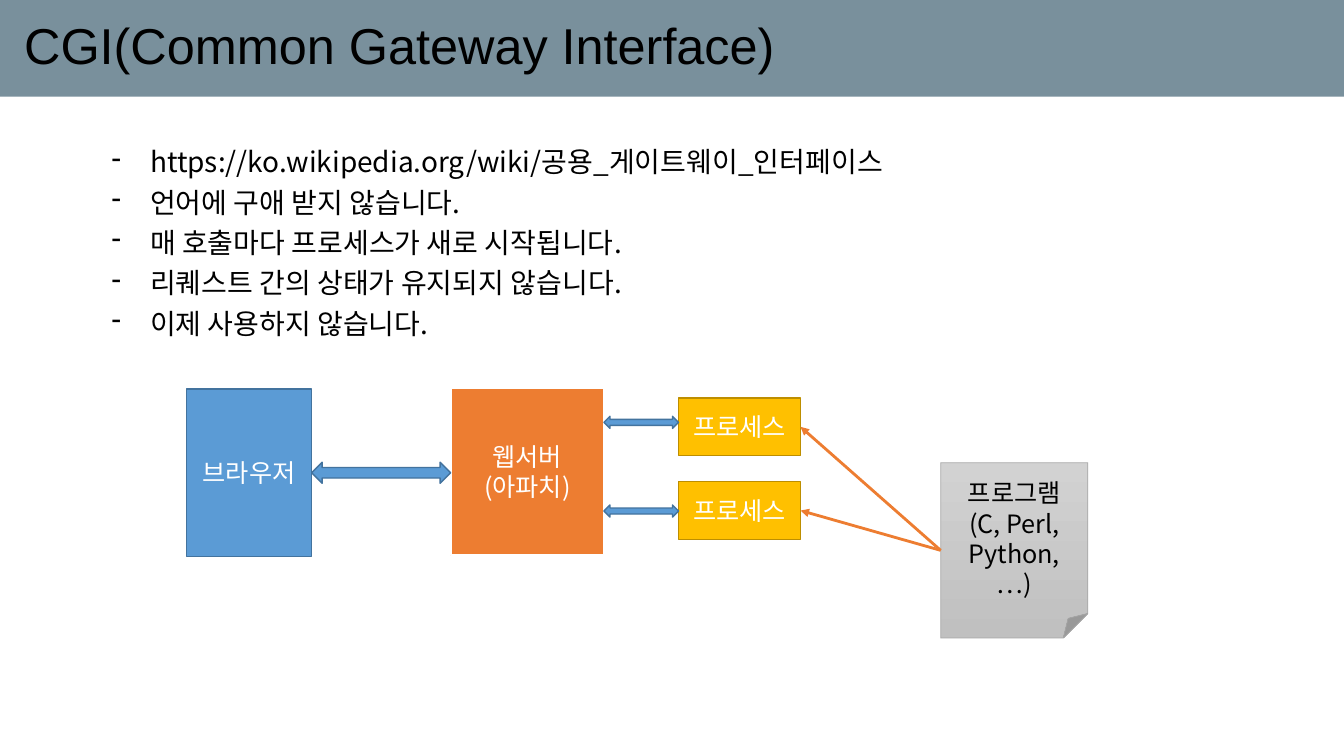
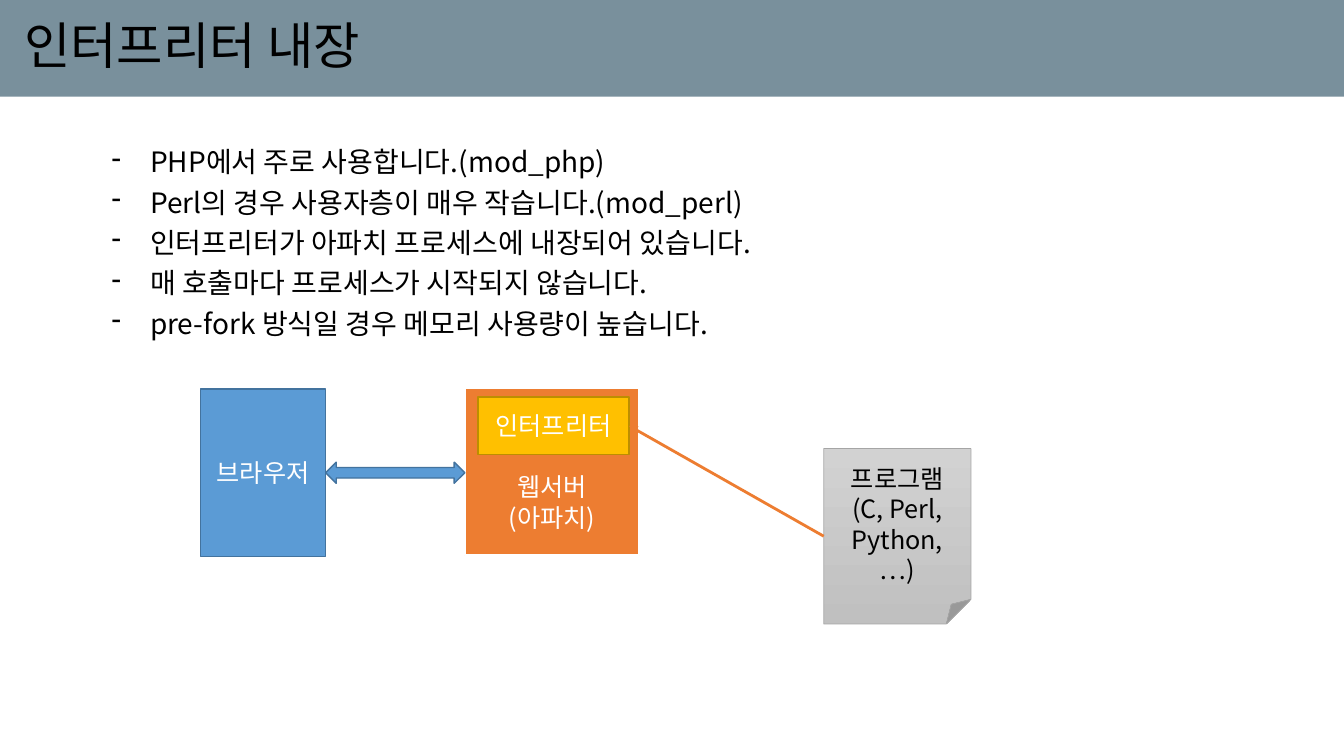
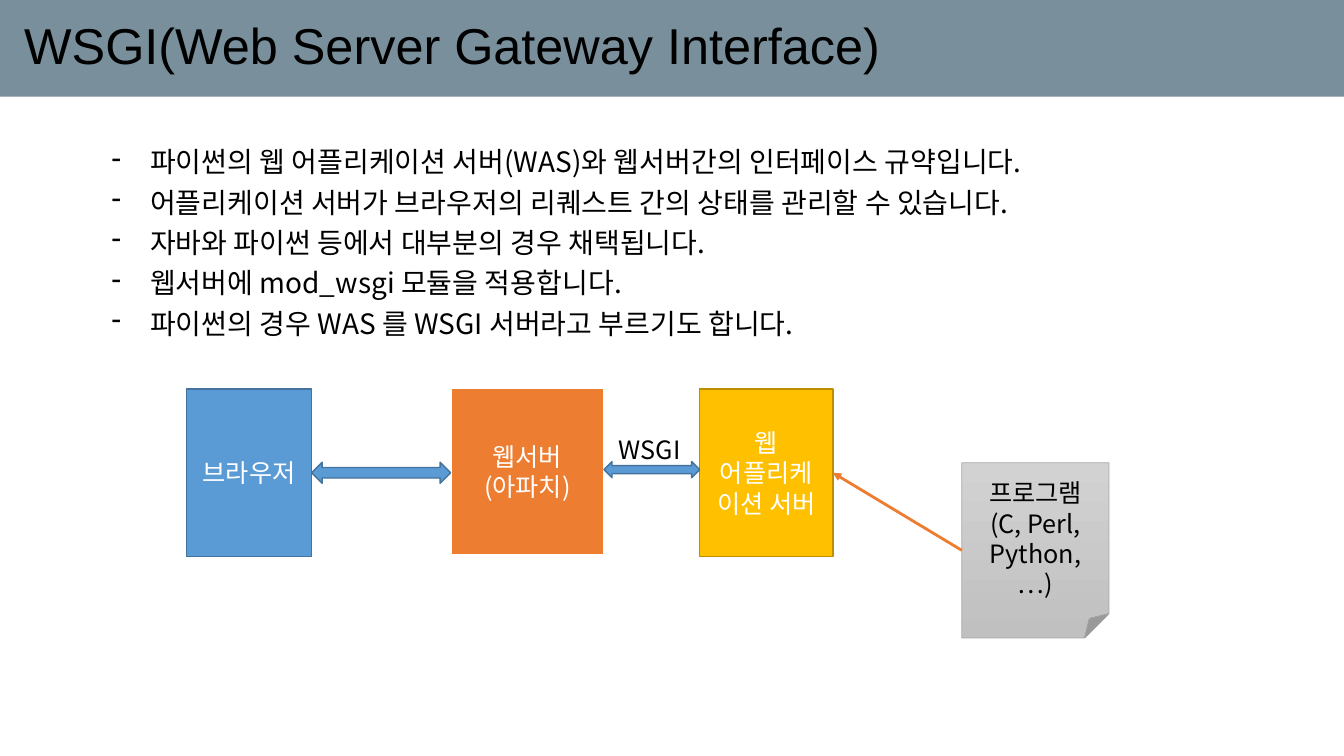
"""Build three slides on how web servers run programs: CGI, embedded interpreter, WSGI."""
from lxml import etree
from pptx import Presentation
from pptx.dml.color import RGBColor
from pptx.enum.shapes import MSO_CONNECTOR, MSO_SHAPE
from pptx.enum.text import MSO_ANCHOR, PP_ALIGN
from pptx.oxml.ns import qn
from pptx.util import Inches, Pt

RECTANGLE = MSO_SHAPE.RECTANGLE
FOLDED = MSO_SHAPE.FOLDED_CORNER
DOUBLE_ARROW = MSO_SHAPE.LEFT_RIGHT_ARROW
STRAIGHT = MSO_CONNECTOR.STRAIGHT
MIDDLE = MSO_ANCHOR.MIDDLE
CENTER = PP_ALIGN.CENTER
LEFT = PP_ALIGN.LEFT

BLACK = RGBColor(0x00, 0x00, 0x00)
WHITE = RGBColor(0xFF, 0xFF, 0xFF)
SLATE = RGBColor(0x79, 0x90, 0x9C)
BLUE = RGBColor(0x5B, 0x9B, 0xD5)
DARK_BLUE = RGBColor(0x43, 0x73, 0x9E)
ORANGE = RGBColor(0xED, 0x7D, 0x31)
GOLD = RGBColor(0xFF, 0xC0, 0x00)
DARK_GOLD = RGBColor(0xBD, 0x8E, 0x00)
LIGHT_GRAY = RGBColor(0xD2, 0xD2, 0xD2)
MID_GRAY = RGBColor(0xC0, 0xC0, 0xC0)
DARK_GRAY = RGBColor(0xA5, 0xA5, 0xA5)

KOREAN_FONT = "Noto Sans CJK KR"
TITLE_FONT = {"name": "Arial", "size": Pt(36), "color": BLACK}
BULLET_FONT = {"name": KOREAN_FONT, "size": Pt(20), "color": BLACK}
LABEL_FONT = {"name": KOREAN_FONT, "size": Pt(18), "color": BLACK}
BOX_FONT = {**LABEL_FONT, "color": WHITE}

STYLES = {
    "blue": {"shape": RECTANGLE, "fills": [BLUE], "line": DARK_BLUE, "weight": 1, "font": BOX_FONT},
    "orange": {"shape": RECTANGLE, "fills": [ORANGE], "line": WHITE, "weight": 1.5, "font": BOX_FONT},
    "gold": {"shape": RECTANGLE, "fills": [GOLD], "line": DARK_GOLD, "weight": 1, "font": BOX_FONT},
    "paper": {"shape": FOLDED, "fills": [LIGHT_GRAY, MID_GRAY], "line": DARK_GRAY,
              "weight": 0.5, "font": LABEL_FONT},
    "arrow": {"shape": DOUBLE_ARROW, "fills": [BLUE], "line": DARK_BLUE, "weight": 1, "font": BOX_FONT},
    "band": {"shape": RECTANGLE, "fills": [SLATE], "line": None, "font": TITLE_FONT},
}

BROWSER = ["브라우저"]
SERVER = ["웹서버", "(아파치)"]
PROCESS = ["프로세스"]
PROGRAM = ["프로그램\n(C, Perl, Python, …)"]
RIGHT_SITE, LEFT_SITE = 3, 1

SLIDES = [
    {
        "title": "CGI(Common Gateway Interface)",
        "bullets": [
            "https://ko.wikipedia.org/wiki/공용_게이트웨이_인터페이스",
            "언어에 구애 받지 않습니다.",
            "매 호출마다 프로세스가 새로 시작됩니다.",
            "리퀘스트 간의 상태가 유지되지 않습니다.",
            "이제 사용하지 않습니다.",
        ],
        "bullet_width": 7.98,
        "boxes": {
            "browser": ("blue", 1.85, 3.86, 1.24, 1.66, BROWSER),
            "server": ("orange", 4.47, 3.85, 1.52, 1.66, SERVER),
            "first process": ("gold", 6.73, 3.95, 1.21, 0.57, PROCESS),
            "second process": ("gold", 6.73, 4.78, 1.21, 0.57, PROCESS),
            "program": ("paper", 9.33, 4.59, 1.46, 1.74, PROGRAM),
        },
        "links": ["second process", "first process"],
        "exchanges": [
            ("server", "first process", 4.19, 0.12),
            ("server", "second process", 5.07, 0.12),
            ("browser", "server", 4.69, 0.21),
        ],
    },
    {
        "title": "인터프리터 내장",
        "bullets": [
            "PHP에서 주로 사용합니다.(mod_php)",
            "Perl의 경우 사용자층이 매우 작습니다.(mod_perl)",
            "인터프리터가 아파치 프로세스에 내장되어 있습니다.",
            "매 호출마다 프로세스가 시작되지 않습니다.",
            "pre-fork 방식일 경우 메모리 사용량이 높습니다.",
        ],
        "bullet_width": 7.98,
        "boxes": {
            "browser": ("blue", 1.99, 3.86, 1.24, 1.66, BROWSER),
            "server": ("orange", 4.61, 3.85, 1.73, 1.66, SERVER),
            "interpreter": ("gold", 4.74, 3.94, 1.5, 0.57, ["인터프리터"]),
            "program": ("paper", 8.17, 4.45, 1.46, 1.74, PROGRAM),
        },
        "top_insets": {"server": 0.65},
        "links": ["interpreter"],
        "exchanges": [("browser", "server", 4.69, 0.21)],
    },
    {
        "title": "WSGI(Web Server Gateway Interface)",
        "bullets": [
            "파이썬의 웹 어플리케이션 서버(WAS)와 웹서버간의 인터페이스 규약입니다.",
            "어플리케이션 서버가 브라우저의 리퀘스트 간의 상태를 관리할 수 있습니다.",
            "자바와 파이썬 등에서 대부분의 경우 채택됩니다.",
            "웹서버에 mod_wsgi 모듈을 적용합니다.",
            "파이썬의 경우 WAS 를 WSGI 서버라고 부르기도 합니다.",
        ],
        "bullet_width": 10.28,
        "boxes": {
            "browser": ("blue", 1.85, 3.86, 1.24, 1.66, BROWSER),
            "server": ("orange", 4.47, 3.85, 1.52, 1.66, SERVER),
            "application": ("gold", 6.94, 3.86, 1.32, 1.66, ["웹 어플리케이션 서버"]),
            "program": ("paper", 9.54, 4.59, 1.46, 1.74, PROGRAM),
        },
        "links": ["application"],
        "exchanges": [
            ("server", "application", 4.66, 0.16),
            ("browser", "server", 4.69, 0.21),
        ],
        "label": ("WSGI", 6.04, 4.26, 0.82, 0.4),
    },
]


def write(frame, lines, font, align=LEFT, spacing=None, bulleted=False):
    """Fill a text frame with one paragraph per line."""
    for index, line in enumerate(lines):
        para = frame.add_paragraph() if index else frame.paragraphs[0]
        para.text = line
        para.alignment = align
        para.line_spacing = spacing
        if bulleted:
            properties = para._p.get_or_add_pPr()
            properties.set("marL", str(Inches(0.38)))
            properties.set("indent", str(-Inches(0.38)))
            etree.SubElement(properties, qn("a:buChar")).set("char", "-")
        for span in para.runs:
            for name in ("name", "size"):
                setattr(span.font, name, font[name])
            span.font.color.rgb = font["color"]
            east_asian = etree.SubElement(span._r.get_or_add_rPr(), qn("a:ea"))
            east_asian.set("typeface", KOREAN_FONT)


def add_box(page, style_name, left, top, width, height, lines=()):
    """Add a styled preset shape with its text, lengths in EMU."""
    style = STYLES[style_name]
    box = page.shapes.add_shape(style["shape"], left, top, width, height)
    box.shadow.inherit = False
    fills = style["fills"]
    if len(fills) == 1:
        box.fill.solid()
        box.fill.fore_color.rgb = fills[0]
    else:
        box.fill.gradient()
        box.fill.gradient_angle = 270
        for stop, color in zip(box.fill.gradient_stops, fills):
            stop.color.rgb = color
        for stop, position in zip(box.fill.gradient_stops, (0, 1)):
            stop.position = position
    if style["line"] is None:
        box.line.fill.background()
    else:
        box.line.color.rgb = style["line"]
        box.line.width = Pt(style["weight"])
    frame = box.text_frame
    frame.word_wrap = True
    frame.vertical_anchor = MIDDLE
    write(frame, lines, style["font"], CENTER)
    return box


def add_title(page, title, width):
    """Add the title band."""
    frame = add_box(page, "band", 0, 0, width, Inches(0.96)).text_frame
    frame.margin_left = Inches(0.24)
    write(frame, [title], TITLE_FONT, spacing=0.9)


def add_link(page, source, target):
    """Connect the left of one box to the right of another with an arrow."""
    link = page.shapes.add_connector(STRAIGHT, 0, 0, 0, 0)
    link.begin_connect(source, LEFT_SITE)
    link.end_connect(target, RIGHT_SITE)
    link.line.color.rgb = ORANGE
    link.line.width = Pt(2)
    etree.SubElement(link.line._get_or_add_ln(), qn("a:tailEnd")).set("type", "triangle")
    etree.SubElement(link._element.spPr, qn("a:effectLst"))


def add_text(page, area, lines, font, wrap, **layout):
    """Add a text box, with its area in inches."""
    frame = page.shapes.add_textbox(*map(Inches, area)).text_frame
    frame.word_wrap = wrap
    write(frame, lines, font, **layout)


def build_slide(deck, content):
    """Lay out one slide from its content."""
    page = deck.slides.add_slide(deck.slide_layouts[6])
    add_title(page, content["title"], deck.slide_width)
    add_text(page, (1.01, 1.32, content["bullet_width"], 2.12), content["bullets"],
             BULLET_FONT, True, spacing=1.2, bulleted=True)
    boxes = {
        name: add_box(page, style, *map(Inches, area), lines)
        for name, (style, *area, lines) in content["boxes"].items()
    }
    for name, inset in content.get("top_insets", {}).items():
        boxes[name].text_frame.margin_top = Inches(inset)
    for name in content["links"]:
        add_link(page, boxes["program"], boxes[name])
    for start, end, middle, height in content["exchanges"]:
        left = boxes[start].left + boxes[start].width
        add_box(page, "arrow", left, Inches(middle - height / 2),
                boxes[end].left - left, Inches(height))
    if "label" in content:
        text, *area = content["label"]
        add_text(page, area, [text], LABEL_FONT, False)


def main():
    """Build and save the deck."""
    deck = Presentation()
    deck.slide_width = Inches(13.33)
    deck.slide_height = Inches(7.5)
    for content in SLIDES:
        build_slide(deck, content)
    deck.save("out.pptx")


if __name__ == "__main__":
    main()
